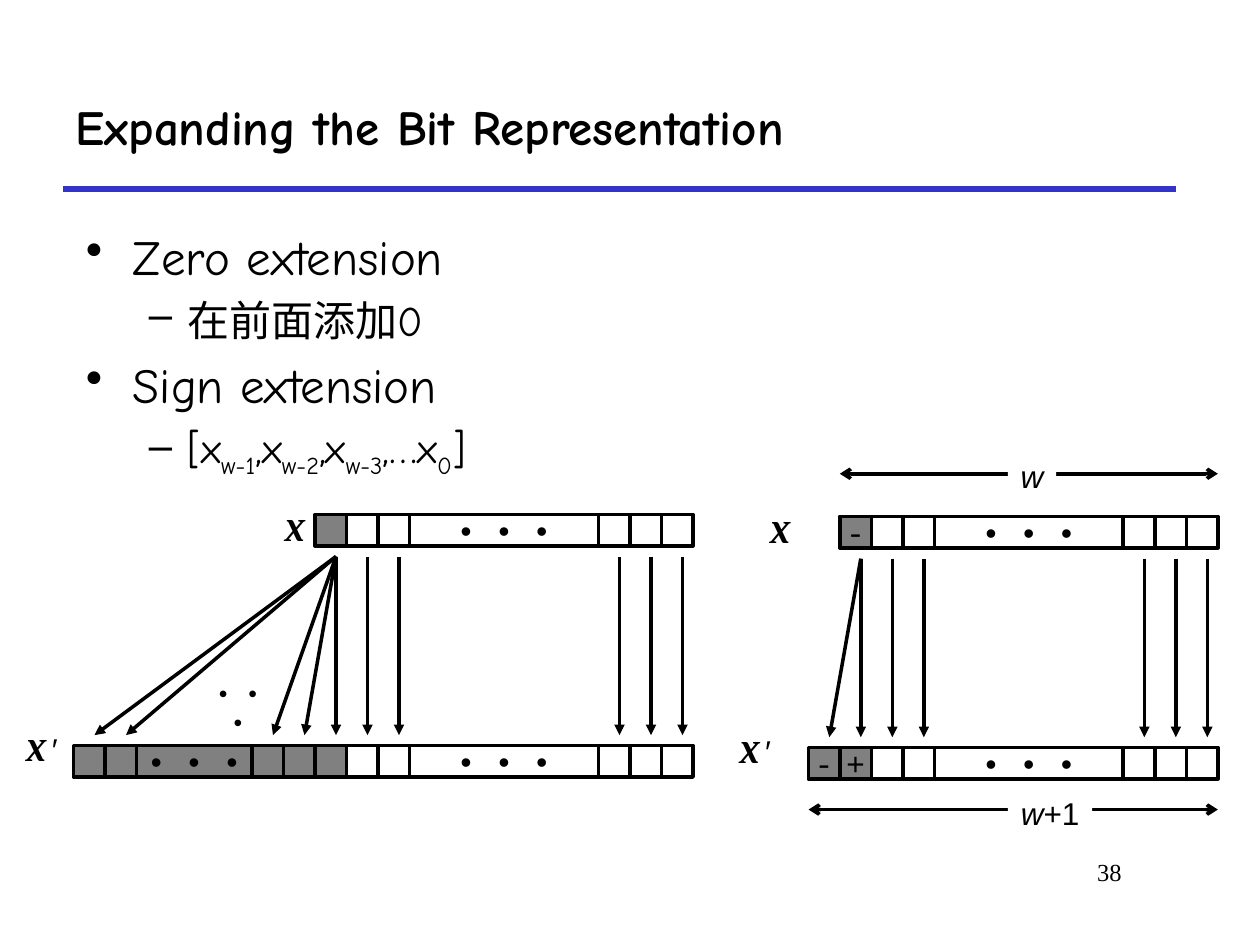
import lxml.etree
import pptx
import pptx.dml.color
import pptx.enum.shapes
import pptx.enum.text
import pptx.oxml.ns
import pptx.util

Cm = pptx.util.Cm
Pt = pptx.util.Pt
Align = pptx.enum.text.PP_ALIGN
Anchor = pptx.enum.text.MSO_ANCHOR
RECTANGLE = pptx.enum.shapes.MSO_SHAPE.RECTANGLE

THEME = {
    "ink": "000000", "rule": "3333CC", "sign": "808080", "plain": "FFFFFF",
    "body": "Comic Neue", "symbol": "Cambria", "code": "Courier New",
    "label": "Arial", "number": "Times New Roman",
    "title_size": 28, "point_sizes": (28, 24), "label_size": 18, "small": 14,
    "stroke": 2, "rule_stroke": 3,
}

TITLE = "Expanding the Bit Representation"
PAGE_NUMBER = "38"
DOTS = "• • •"
POINTS = [
    (0, [("Zero extension", False)]),
    (1, [("在前面添加0", False)]),
    (0, [("Sign extension", False)]),
    (1, [("[x", False), ("w-1", True), (",x", False), ("w-2", True),
         (",x", False), ("w-3", True), (",…x", False), ("0", True), ("]", False)]),
]
BULLETS = [("•", 0.95, -0.95), ("–", 2.06, -0.79)]

BIT = Cm(25.4) / 40
LOW_BITS = [(1, "plain", "")] * 2 + [(6, "plain", DOTS)] + [(1, "plain", "")] * 3
SIGN = (1, "sign", "")
MINUS = (1, "sign", "-")
PLUS = (1, "sign", "+")
FIGURES = [
    {"right": 13.97, "top": 10.37,
     "word": [SIGN] + LOW_BITS,
     "extended": [SIGN] * 2 + [(11 / 3, "sign", DOTS)] + [SIGN] * 3 + LOW_BITS,
     "word_label": 5.46, "extended_label": 0.23,
     "gap_dots": (3.81, 13.54, 1.98, 0.84), "widths": []},
    {"right": 24.55, "top": 10.41,
     "word": [MINUS] + LOW_BITS,
     "extended": [MINUS, PLUS] + LOW_BITS,
     "word_label": 15.24, "extended_label": 14.61,
     "gap_dots": None,
     "widths": [(16.3, 16.32, 15.88, 1.7, "w", "+1"),
                (16.93, 9.55, 9.09, 0.97, "w", "")]},
]
ROW_DROP, ARROW_START, ARROW_STOP = 4.66, 0.85, 0.21


def color(name):
    return pptx.dml.color.RGBColor.from_string(THEME[name])


def add_run(paragraph, text, font, size, bold=False, italic=False):
    run = paragraph.add_run()
    run.text = text
    run.font.name = THEME[font]
    run.font.size = Pt(size)
    run.font.bold = bold
    run.font.italic = italic
    run.font.color.rgb = color("ink")
    return run


def add_label(shapes, box, align=Align.CENTER, wrap=False):
    frame = shapes.add_textbox(*box).text_frame
    frame.word_wrap = wrap
    frame.paragraphs[0].alignment = align
    return frame.paragraphs[0]


def add_line(shapes, start, end, ink="ink", stroke="stroke", **arrowheads):
    line = shapes.add_connector(pptx.enum.shapes.MSO_CONNECTOR.STRAIGHT, *map(int, start + end))
    line.line.color.rgb = color(ink)
    line.line.width = Pt(THEME[stroke])
    outline = line.line._get_or_add_ln()
    for end_name, kind in arrowheads.items():
        lxml.etree.SubElement(outline, pptx.oxml.ns.qn("a:" + end_name), type=kind)
    lxml.etree.SubElement(line._element.spPr, pptx.oxml.ns.qn("a:effectLst"))


def add_row(shapes, cells, right, top):
    left = right - sum(width for width, _, _ in cells) * BIT
    lefts = []
    for width, fill, text in cells:
        lefts.append(left)
        cell = shapes.add_shape(RECTANGLE, int(left), top, int(width * BIT), int(BIT))
        cell.shadow.inherit = False
        cell.fill.solid()
        cell.fill.fore_color.rgb = color(fill)
        cell.line.color.rgb = color("ink")
        cell.line.width = Pt(THEME["stroke"])
        if text:
            cell.text_frame.word_wrap = False
            cell.text_frame.vertical_anchor = Anchor.MIDDLE
            cell.text_frame.paragraphs[0].alignment = Align.CENTER
            add_run(cell.text_frame.paragraphs[0], text, "code", THEME["label_size"])
        left += width * BIT
    return lefts


def add_symbol(shapes, left, top, width, prime=""):
    label = add_label(shapes, (Cm(left), top, Cm(width), Cm(1.02)))
    add_run(label, "X ", "symbol", THEME["label_size"], bold=True, italic=True)
    if prime:
        add_run(label, prime, "label", THEME["label_size"])


def add_figure(slide, figure):
    shapes = slide.shapes.add_group_shape().shapes
    right, top = Cm(figure["right"]), Cm(figure["top"])
    bottom = top + Cm(ROW_DROP)
    word_lefts = add_row(shapes, figure["word"], right, top)
    extended_lefts = add_row(shapes, figure["extended"], right, bottom)
    add_symbol(shapes, figure["word_label"], top - Cm(0.22), 1.09)
    add_symbol(shapes, figure["extended_label"], bottom - Cm(0.43), 1.24, "′")

    added = len(extended_lefts) - len(word_lefts)
    for index, target in enumerate(extended_lefts):
        if figure["extended"][index][0] == 1:
            source = word_lefts[max(0, index - added)]
            add_line(shapes, (source + BIT * 2 / 3, top + Cm(ARROW_START)),
                     (target + BIT * 2 / 3, bottom - Cm(ARROW_STOP)), tailEnd="triangle")

    if figure["gap_dots"]:
        add_run(add_label(shapes, map(Cm, figure["gap_dots"])), DOTS, "code", THEME["small"])

    for left, line_top, label_top, label_width, name, suffix in figure["widths"]:
        add_line(shapes, (Cm(left), Cm(line_top)), (right, Cm(line_top)),
                 headEnd="arrow", tailEnd="arrow")
        plate = shapes.add_textbox(Cm(20.32), Cm(label_top), Cm(label_width), Cm(1.02))
        plate.fill.solid()
        plate.fill.fore_color.rgb = color("plain")
        plate.text_frame.word_wrap = False
        label = plate.text_frame.paragraphs[0]
        label.alignment = Align.CENTER
        add_run(label, name, "label", THEME["label_size"], italic=True)
        if suffix:
            add_run(label, suffix, "label", THEME["label_size"])


def add_title(slide):
    title = slide.shapes.title
    title.left, title.top, title.width, title.height = map(Cm, (1.27, 1.27, 23.07, 2.54))
    title.text_frame.auto_size = pptx.enum.text.MSO_AUTO_SIZE.NONE
    title.text_frame.vertical_anchor = Anchor.MIDDLE
    heading = title.text_frame.paragraphs[0]
    heading.alignment = Align.LEFT
    add_run(heading, TITLE, "body", THEME["title_size"], bold=True)
    add_line(slide.shapes, (Cm(1.27), Cm(3.81)), (Cm(23.71), Cm(3.81)), "rule", "rule_stroke")


def add_points(slide):
    frame = slide.shapes.add_textbox(*map(Cm, (1.48, 4.45, 22.01, 12.28))).text_frame
    frame.word_wrap = True
    for index, (level, parts) in enumerate(POINTS):
        point = frame.add_paragraph() if index else frame.paragraphs[0]
        size = THEME["point_sizes"][level]
        bullet, margin, indent = BULLETS[level]
        point.level = level
        point.space_before = Pt(size * 0.2)
        properties = point._p.get_or_add_pPr()
        properties.set("marL", str(Cm(margin)))
        properties.set("indent", str(Cm(indent)))
        lxml.etree.SubElement(properties, pptx.oxml.ns.qn("a:buChar"), char=bullet)
        for text, subscript in parts:
            run = add_run(point, text, "body", size)
            if subscript:
                run.font._element.set("baseline", "-25000")


def main():
    deck = pptx.Presentation()
    deck.slide_width, deck.slide_height = Cm(25.4), Cm(19.05)
    slide = deck.slides.add_slide(deck.slide_layouts[5])
    add_title(slide)
    add_points(slide)
    for figure in FIGURES:
        add_figure(slide, figure)
    number = add_label(slide.shapes, map(Cm, (19.25, 17.15, 3.61, 1.27)), Align.RIGHT, True)
    add_run(number, PAGE_NUMBER, "number", THEME["small"])
    deck.save("out.pptx")


if __name__ == "__main__":
    main()
